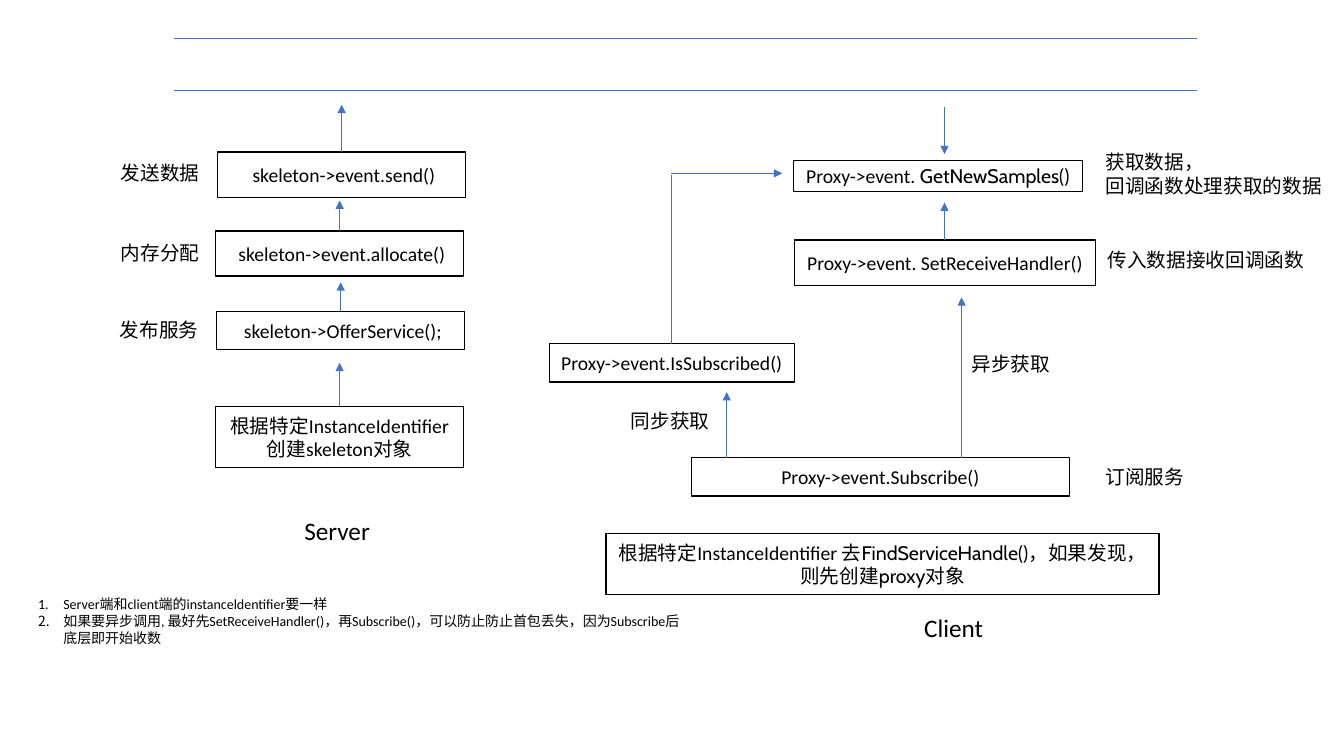
from lxml.etree import SubElement as Sub
from pptx import Presentation
from pptx.dml.color import RGBColor as RGB
from pptx.enum.shapes import MSO_CONNECTOR as LINK, MSO_SHAPE as SHAPE
from pptx.enum.text import MSO_ANCHOR as ANCHOR, MSO_AUTO_SIZE as FIT, PP_ALIGN as ALIGN
from pptx.oxml.ns import qn
from pptx.util import Inches, Pt

COLORS = {"ink": "000000", "paper": "FFFFFF", "arrow": "4472C4"}
COLS, ROWS = 133.33, 75
BODY, HEAD, NOTE = 14, 18, 10
PLAIN, ALT = "Calibri", "Cabin"


class Board:
    """Draws on one slide; all lengths are columns and rows of its grid."""

    def __init__(self, deck):
        self.slide = deck.slides.add_slide(deck.slide_layouts[6])
        self.shapes = self.slide.shapes
        self.col = deck.slide_width / COLS
        self.row = deck.slide_height / ROWS

    def scale(self, *spans):
        """Turn alternating columns and rows into lengths."""
        return [round(n * (self.row if i % 2 else self.col)) for i, n in enumerate(spans)]

    def color(self, name):
        return RGB.from_string(COLORS[name])

    def fill_text(self, frame, paras, size, frame_fmt, para_fmt):
        """Fill a frame; a paragraph is a string or a list of (text, font) runs."""
        for key, val in {"word_wrap": True, **frame_fmt}.items():
            setattr(frame, key, val)
        for i, runs in enumerate(paras):
            para = frame.add_paragraph() if i else frame.paragraphs[0]
            for key, val in para_fmt.items():
                setattr(para, key, val)
            for text, face in [(runs, PLAIN)] if isinstance(runs, str) else runs:
                run = para.add_run()
                run.text = text
                for key, val in {"name": face, "size": Pt(size)}.items():
                    setattr(run.font, key, val)
                run.font.color.rgb = self.color("ink")

    def box(self, x, y, w, h, runs):
        box = self.shapes.add_shape(SHAPE.RECTANGLE, *self.scale(x, y, w, h))
        box.shadow.inherit = False
        box.fill.solid()
        box.fill.fore_color.rgb = self.color("paper")
        box.line.color.rgb = self.color("ink")
        box.line.width = Pt(1)
        self.fill_text(box.text_frame, [runs], BODY,
                       {"vertical_anchor": ANCHOR.MIDDLE}, {"alignment": ALIGN.CENTER})

    def label(self, x, y, w, h, *paras, size=BODY):
        label = self.shapes.add_textbox(*self.scale(x, y, w, h))
        self.fill_text(label.text_frame, paras, size, {"auto_size": FIT.SHAPE_TO_FIT_TEXT}, {})
        return label

    def notes(self, x, y, w, h, *items):
        """Add a numbered list with a hanging indent."""
        area = self.label(x, y, w, h, *items, size=NOTE)
        for para in area.text_frame.paragraphs:
            props = para._p.get_or_add_pPr()
            for key, val in {"marL": Inches(0.25), "indent": -Inches(0.25)}.items():
                props.set(key, str(val))
            Sub(props, qn("a:buFont"), typeface="+mj-lt")
            Sub(props, qn("a:buAutoNum"), type="arabicPeriod")

    def line(self, x1, y1, x2, y2, head=True):
        link = self.shapes.add_connector(LINK.STRAIGHT, *self.scale(x1, y1, x2, y2))
        link.line.color.rgb = self.color("arrow")
        link.line.width = Pt(0.5)
        props = link._element.spPr
        if head:
            Sub(props.find(qn("a:ln")), qn("a:tailEnd"), type="triangle")
        Sub(props, qn("a:effectLst"))


def server(board):
    steps = [  # left, top, height, text, arrow tip, side label
        (21.4, 40.3, 6.1, "根据特定InstanceIdentifier创建skeleton对象", 36, None),
        (21.5, 30.9, 3.8, " skeleton->OfferService();", 28, (10.9, 31.1, "发布服务")),
        (21.4, 22.9, 4.5, " skeleton->event.allocate()", 19.9, (11, 23.4, "内存分配")),
        (21.6, 15.1, 4.5, " skeleton->event.send()", 10.4, (11, 15.5, "发送数据")),
    ]
    for x, y, h, text, tip, side in steps:
        board.box(x, y, 24.6, h, text)
        mid = x + 12.3
        board.line(mid, y, mid, tip)
        if side:
            left, top, name = side
            board.label(left, top, 12.6, 3.4, name)
    board.label(29.2, 50.6, 9.4, 4, "Server", size=HEAD)


def client(board):
    boxes = [
        (60.1, 52.9, 54.9, 6.1, [("根据特定", ALT), ("InstanceIdentifier 去", PLAIN),
                                 ("FindServiceHandle()，如果发现，则先创建proxy对象", ALT)]),
        (68.6, 45.4, 37.5, 3.8, "Proxy->event.Subscribe()"),
        (54.5, 34.1, 24.3, 3.8, "Proxy->event.IsSubscribed()"),
        (78.8, 23.8, 29.9, 4.5, "Proxy->event. SetReceiveHandler()"),
        (78.7, 15.9, 28.7, 3.1, [("Proxy->event. ", PLAIN), ("GetNewSamples()", ALT)]),
    ]
    for spec in boxes:
        board.box(*spec)

    arrows = [
        (72.1, 45.4, 72.1, 38.9),
        (95.4, 45.4, 95.4, 29.5),
        (93.7, 23.8, 93.7, 20.1),
        (93.7, 10.6, 93.7, 15.3),
        (66.6, 17.2, 77.6, 17.2),
    ]
    for ends in arrows:
        board.line(*ends)
    board.line(66.6, 34.1, 66.6, 17.4, head=False)

    labels = [
        (108.7, 45.6, 12.6, 3.4, "订阅服务"),
        (108.7, 14.4, 23.7, 5.7, "获取数据，", "回调函数处理获取的数据"),
        (108.9, 24.1, 22.6, 3.4, "传入数据接收回调函数"),
        (95.4, 34.4, 12, 3.4, "异步获取"),
        (61.6, 40.1, 10.5, 3.4, "同步获取"),
    ]
    for spec in labels:
        board.label(*spec)
    board.label(90.7, 60.3, 9.4, 4, "Client", size=HEAD)


def main():
    deck = Presentation()
    deck.slide_width, deck.slide_height = Inches(13.33), Inches(7.5)
    board = Board(deck)
    for y in (3.8, 9):
        board.line(17.3, y, 118.7, y, head=False)
    server(board)
    client(board)
    board.notes(2.8, 58.6, 65.8, 6.1,
                "Server端和client端的instanceldentifier要一样",
                "如果要异步调用, 最好先SetReceiveHandler()，再Subscribe()，"
                "可以防止防止首包丢失，因为Subscribe后底层即开始收数")
    deck.save("out.pptx")


if __name__ == "__main__":
    main()
